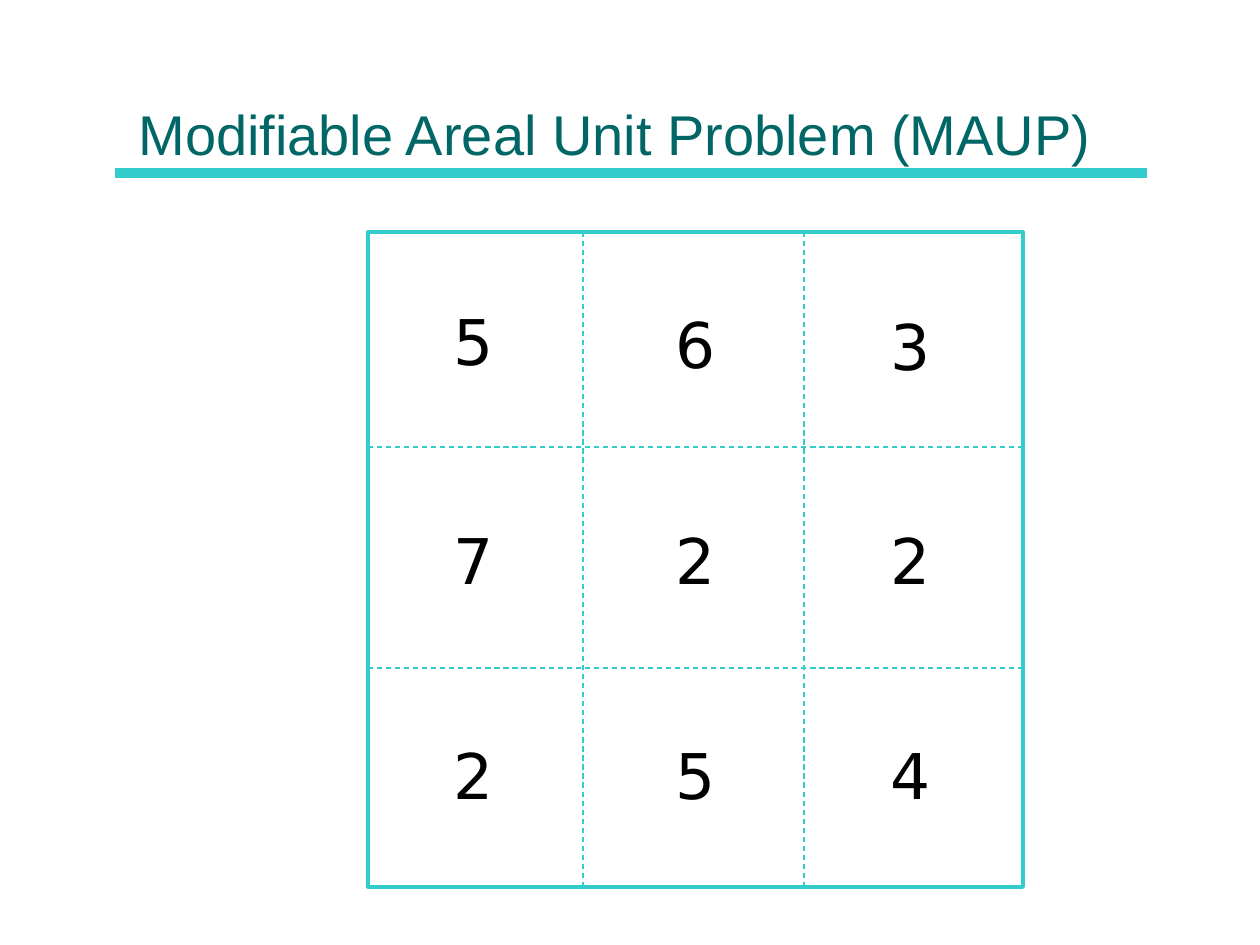
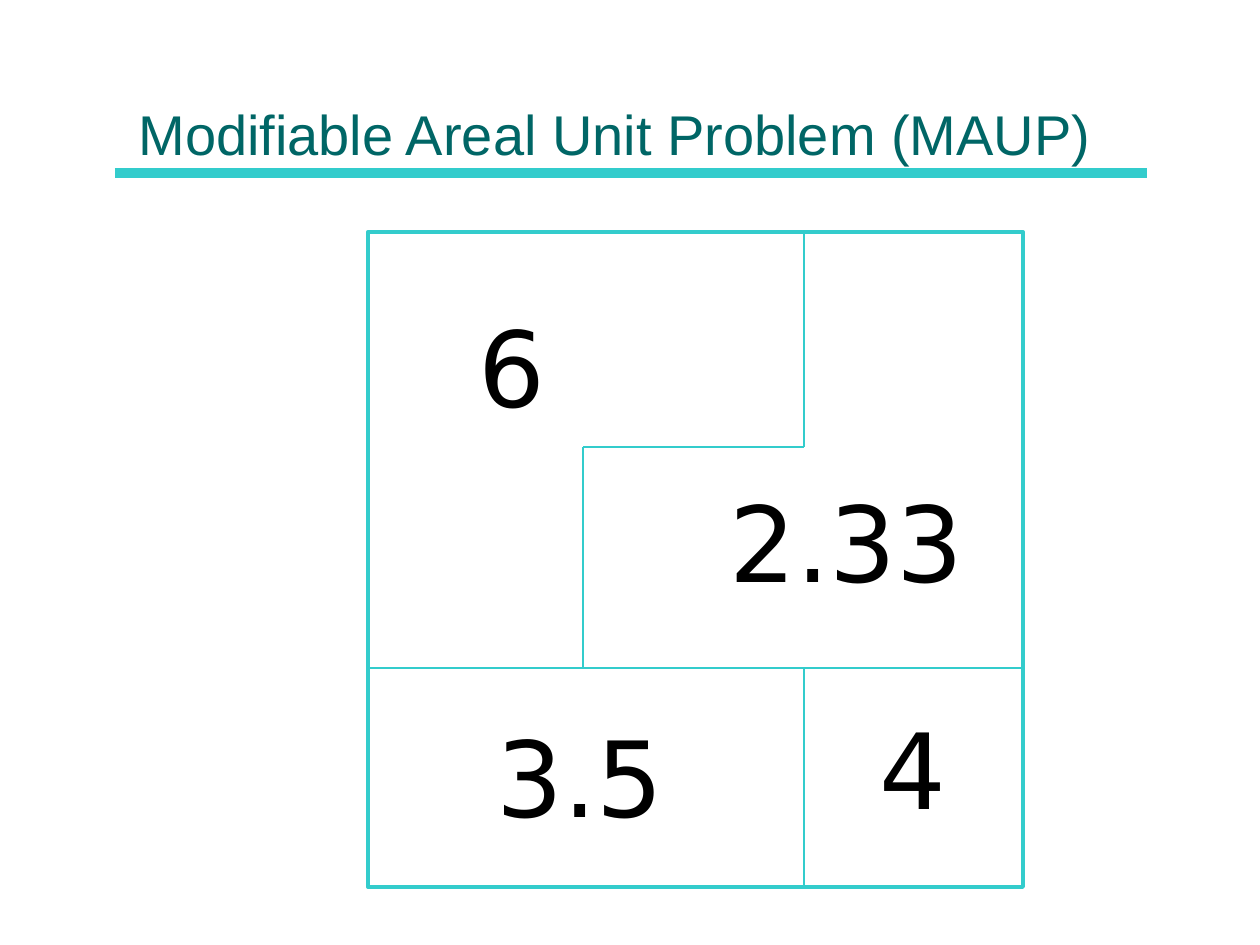
from dataclasses import dataclass

from lxml import etree
from pptx import Presentation
from pptx import util as u
from pptx.dml.color import RGBColor
from pptx.enum import dml, shapes, text
from pptx.oxml import ns


@dataclass(frozen=True)
class Theme:
    accent: RGBColor = RGBColor(0x33, 0xCC, 0xCC)
    title: RGBColor = RGBColor(0x00, 0x66, 0x66)
    ink: RGBColor = RGBColor(0x00, 0x00, 0x00)
    title_font: str = "Arial"
    value_font: str = "DejaVu Sans"
    title_size: int = 32
    cell_size: int = 36
    zone_size: int = 60


THEME = Theme()
SLIDE_W, SLIDE_H = 1260, 945
TITLE = "Modifiable Areal Unit Problem (MAUP)"
TITLE_BOX = (126, 15, 1008, 158)
MAP_BOX = (368, 232, 655, 655)
CUT_1, CUT_2 = 215, 436  # the same cuts divide the map across and down


def px(n):
    return u.Emu(round(n * u.Inches(1) / 126))


def add_line(s, x1, y1, x2, y2, width, dash=None):
    line = s.shapes.add_connector(
        shapes.MSO_CONNECTOR.STRAIGHT, px(x1), px(y1), px(x2), px(y2))
    line.line.color.rgb = THEME.accent
    line.line.width = u.Pt(width)
    if dash:
        line.line.dash_style = dash
    etree.SubElement(line._element.spPr, ns.qn("a:effectLst"))


def add_text(s, box, words, font, size, color):
    sp = s.shapes.add_textbox(*map(px, box))
    p = sp.text_frame.paragraphs[0]
    p.text = words
    p.font.name, p.font.size, p.font.color.rgb = font, u.Pt(size), color
    return sp.text_frame


def add_value(s, box, words, size):
    tf = add_text(s, box, words, THEME.value_font, size, THEME.ink)
    tf.word_wrap = False
    tf.auto_size = text.MSO_AUTO_SIZE.SHAPE_TO_FIT_TEXT


def add_title(s, box):
    left, top, width, height = box
    bottom = top + height
    add_line(s, left - 11, bottom, left + width + 13, bottom, 6)
    tf = add_text(s, box, TITLE, THEME.title_font, THEME.title_size, THEME.title)
    tf.word_wrap = True
    tf.vertical_anchor = text.MSO_ANCHOR.BOTTOM


def add_frame(s, box):
    sp = s.shapes.add_shape(shapes.MSO_SHAPE.RECTANGLE, *map(px, box))
    sp.shadow.inherit = False
    sp.fill.background()
    sp.line.color.rgb = THEME.accent
    sp.line.width = u.Pt(2.25)


def add_cells(s, box):
    """Draw the nine equal units, each with its own value."""
    left, top, width, height = box
    dash = dml.MSO_LINE.DASH
    for cut in (CUT_1, CUT_2):
        add_line(s, left, top + cut, left + width, top + cut, 0.75, dash)
    for cut in (CUT_1, CUT_2):
        add_line(s, left + cut, top + height, left + cut, top, 0.75, dash)

    columns = (73, 295, 510)
    rows = (
        ("563", (64, 67, 69)),
        ("722", (283, 283, 283)),
        ("254", (498, 498, 498)),
    )
    for values, tops in rows:
        for value, x, y in zip(values, columns, tops):
            add_value(s, (left + x, top + y, 66, 88), value, THEME.cell_size)


def add_zones(s, box):
    """Draw the units merged into four zones, each with its mean value."""
    left, top, width, height = box
    borders = (
        (0, CUT_2, width, CUT_2),
        (CUT_1, CUT_2, CUT_1, CUT_1),
        (CUT_2, CUT_1, CUT_1, CUT_1),
        (CUT_2, 0, CUT_2, CUT_1),
        (CUT_2, CUT_2, CUT_2, height),
    )
    for x1, y1, x2, y2 in borders:
        add_line(s, left + x1, top + y1, left + x2, top + y2, 1.5)

    means = (
        ("6", 98, 64, 92),
        ("2.33", 349, 239, 263),
        ("4", 499, 466, 92),
        ("3.5", 116, 474, 197),
    )
    for mean, x, y, w in means:
        add_value(s, (left + x, top + y, w, 139), mean, THEME.zone_size)


def add_map_slide(prs, add_units):
    s = prs.slides.add_slide(prs.slide_layouts[6])
    add_title(s, TITLE_BOX)
    add_frame(s, MAP_BOX)
    add_units(s, MAP_BOX)


def main():
    prs = Presentation()
    prs.slide_width, prs.slide_height = px(SLIDE_W), px(SLIDE_H)
    for add_units in (add_cells, add_zones):
        add_map_slide(prs, add_units)
    prs.save("out.pptx")


if __name__ == "__main__":
    main()
